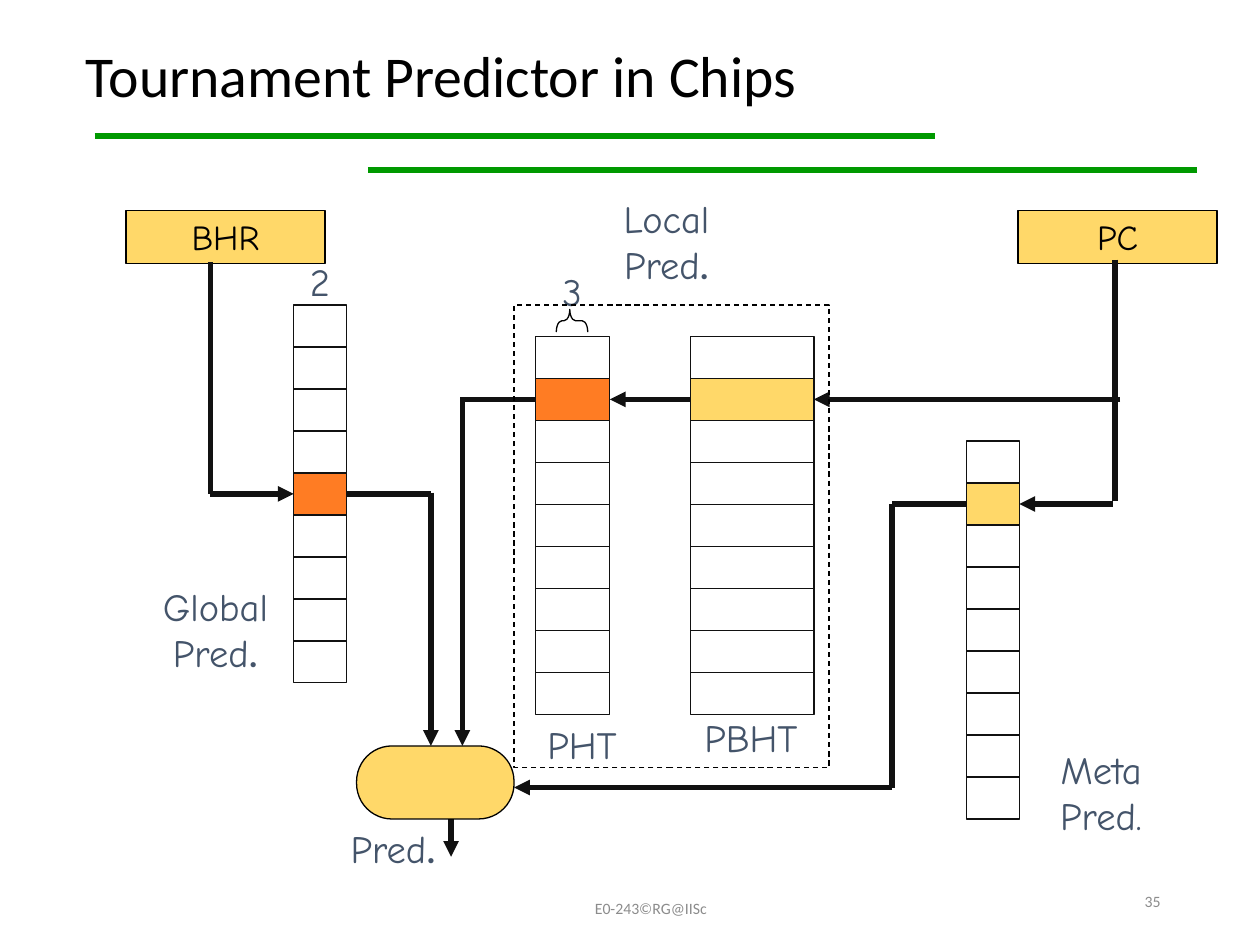
from dataclasses import dataclass
from typing import Optional

from lxml import etree
from pptx import Presentation
from pptx.dml.color import RGBColor
from pptx.enum.dml import MSO_LINE
from pptx.enum.shapes import MSO_CONNECTOR, MSO_SHAPE
from pptx.enum.text import MSO_ANCHOR, MSO_AUTO_SIZE, PP_ALIGN
from pptx.oxml.ns import qn
from pptx.util import Inches, Pt

STRAIGHT = MSO_CONNECTOR.STRAIGHT
RECTANGLE = MSO_SHAPE.RECTANGLE
ROUNDED = MSO_SHAPE.ROUNDED_RECTANGLE
BRACE = MSO_SHAPE.RIGHT_BRACE
DASH = MSO_LINE.DASH
LEFT, CENTER, RIGHT = PP_ALIGN.LEFT, PP_ALIGN.CENTER, PP_ALIGN.RIGHT
TOP, MIDDLE = MSO_ANCHOR.TOP, MSO_ANCHOR.MIDDLE
NO_FIT = MSO_AUTO_SIZE.NONE
LEFT_SIDE, RIGHT_SIDE = 1, 3


@dataclass(frozen=True)
class Theme:
    black: str = "000000"
    wire: str = "111111"
    rule: str = "009900"
    yellow: str = "FFD869"
    orange: str = "FF7C23"
    label: str = "44546A"
    footer: str = "8C8C8C"
    plain_font: str = "Calibri"
    sketch_font: str = "Comic Neue"
    title_size: float = 33
    label_size: float = 22
    register_size: float = 20
    footer_size: float = 9
    thin: float = 0.75
    thick: float = 3


@dataclass(frozen=True)
class Box:
    left: float
    top: float
    width: float
    height: float

    def lengths(self) -> tuple:
        return tuple(Inches(v) for v in (self.left, self.top, self.width, self.height))


@dataclass(frozen=True)
class Table:
    name: str
    left: float
    top: float
    width: float
    active_row: int
    active_fill: str


@dataclass(frozen=True)
class Wire:
    start: tuple
    end: tuple
    arrow: bool = False
    source: Optional[str] = None
    source_side: int = LEFT_SIDE
    target: Optional[str] = None
    target_side: int = RIGHT_SIDE


@dataclass(frozen=True)
class Label:
    text: str
    box: Box
    bold_stop: bool = False
    align: int = CENTER


THEME = Theme()
ROWS = 9
ROW_HEIGHT = 1 / 3

RULES = [
    Wire((0.75, 1.08), (7.33, 1.08)),
    Wire((2.92, 1.35), (9.5, 1.35)),
    Wire((0.83, 1.08), (7.42, 1.08)),
]
REGISTERS = [("BHR", 1), ("PC", 8.08)]
TABLES = [
    Table("global", 2.33, 2.42, 0.42, 4, THEME.orange),
    Table("meta", 7.67, 3.5, 0.42, 1, THEME.yellow),
    Table("pbht", 5.48, 2.67, 0.98, 1, THEME.yellow),
    Table("pht", 4.25, 2.67, 0.59, 1, THEME.orange),
]
WIRES = [
    Wire((1.67, 2.08), (1.67, 3.92)),
    Wire((1.67, 3.92), (2.33, 3.92), True, target="global", target_side=LEFT_SIDE),
    Wire((2.75, 3.92), (3.42, 3.92), source="global", source_side=RIGHT_SIDE),
    Wire((3.42, 3.91), (3.42, 5.92), True),
    Wire((8.85, 2.06), (8.85, 3.98)),
    Wire((8.89, 3.17), (6.46, 3.17), True, target="pbht"),
    Wire((5.48, 3.17), (4.84, 3.17), True, source="pbht", target="pht"),
    Wire((4.25, 3.17), (3.65, 3.17), source="pht"),
    Wire((3.67, 3.16), (3.67, 5.92), True),
    Wire((8.83, 4), (8.09, 4), True, target="meta"),
    Wire((7.67, 4), (7.08, 4), source="meta"),
    Wire((7.08, 4), (7.08, 6.25)),
    Wire((7.08, 6.25), (4.08, 6.25), True),
    Wire((3.58, 6.47), (3.58, 6.8), True),
]
LABELS = [
    Label("Pred", Box(2.58, 6.5, 1.08, 0.47), True),
    Label("2", Box(2.25, 2, 0.58, 0.47)),
    Label("Global Pred", Box(1.17, 4.58, 1.08, 0.83), True),
    Label("Meta Pred.", Box(8.08, 5.87, 1.08, 0.83), align=RIGHT),
    Label("3", Box(4.25, 2.08, 0.58, 0.47)),
    Label("Local Pred", Box(4.75, 1.5, 1.08, 0.83), True),
    Label("PBHT", Box(5.42, 5.62, 1.08, 0.47)),
    Label("PHT", Box(4.08, 5.67, 1.08, 0.47)),
]


def color(value: str) -> RGBColor:
    return RGBColor.from_string(value)


def add_run(paragraph, text: str, font: str, size: float, ink: str, bold: bool = False):
    run = paragraph.add_run()
    run.text = text
    run.font.name = font
    run.font.size = Pt(size)
    run.font.bold = bold
    run.font.color.rgb = color(ink)


def add_wire(slide, wire: Wire, ink: str, width: float, cells: dict):
    ends = [Inches(v) for v in (*wire.start, *wire.end)]
    connector = slide.shapes.add_connector(STRAIGHT, *ends)
    connector.line.color.rgb = color(ink)
    connector.line.width = Pt(width)
    if wire.arrow:
        line = connector.line._get_or_add_ln()
        etree.SubElement(line, qn("a:tailEnd"), type="triangle")
    etree.SubElement(connector._element.spPr, qn("a:effectLst"))
    if wire.source:
        connector.begin_connect(cells[wire.source], wire.source_side)
    if wire.target:
        connector.end_connect(cells[wire.target], wire.target_side)


def add_outline(slide, kind: int, box: Box, fill: Optional[str], ink: str):
    shape = slide.shapes.add_shape(kind, *box.lengths())
    shape.shadow.inherit = False
    if fill:
        shape.fill.solid()
        shape.fill.fore_color.rgb = color(fill)
    else:
        shape.fill.background()
    shape.line.color.rgb = color(ink)
    shape.line.width = Pt(THEME.thin)
    return shape


def add_predictor_table(slide, table: Table):
    frame = Box(table.left, table.top, table.width, ROWS * ROW_HEIGHT)
    add_outline(slide, RECTANGLE, frame, None, THEME.wire)
    for row in range(1, ROWS):
        y = table.top + row * ROW_HEIGHT
        divider = Wire((table.left, y), (table.left + table.width, y))
        add_wire(slide, divider, THEME.wire, THEME.thin, {})
    active_top = table.top + table.active_row * ROW_HEIGHT
    active = Box(table.left, active_top, table.width, ROW_HEIGHT)
    return add_outline(slide, RECTANGLE, active, table.active_fill, THEME.wire)


def add_text_area(slide, box: Box, align: int, anchor: int):
    frame = slide.shapes.add_textbox(*box.lengths()).text_frame
    frame.word_wrap = True
    frame.vertical_anchor = anchor
    frame.paragraphs[0].alignment = align
    return frame.paragraphs[0]


def add_register(slide, name: str, left: float):
    register = add_outline(slide, RECTANGLE, Box(left, 1.67, 1.58, 0.42), THEME.yellow, THEME.black)
    register.text_frame.word_wrap = False
    register.text_frame.vertical_anchor = MIDDLE
    paragraph = register.text_frame.paragraphs[0]
    paragraph.alignment = CENTER
    add_run(paragraph, name, THEME.sketch_font, THEME.register_size, THEME.black)


def add_title(slide, text: str):
    title = slide.shapes.title
    title.left, title.top, title.width, title.height = Box(0.58, 0.25, 9, 0.75).lengths()
    title.text_frame.auto_size = NO_FIT
    title.text_frame.vertical_anchor = MIDDLE
    paragraph = title.text_frame.paragraphs[0]
    paragraph.alignment = LEFT
    paragraph.line_spacing = 0.9
    add_run(paragraph, text, THEME.plain_font, THEME.title_size, THEME.black)


def main():
    deck = Presentation()
    deck.slide_width, deck.slide_height = Inches(10), Inches(7.5)
    slide = deck.slides.add_slide(deck.slide_layouts[5])

    for rule in RULES:
        add_wire(slide, rule, THEME.rule, THEME.thick, {})
    add_title(slide, "Tournament Predictor in Chips")
    for text, box, align in [
        ("E0-243©RG@IISc", Box(3.58, 7.08, 3.17, 0.25), CENTER),
        ("35", Box(7.06, 6.95, 2.25, 0.4), RIGHT),
    ]:
        paragraph = add_text_area(slide, box, align, MIDDLE)
        add_run(paragraph, text, THEME.plain_font, THEME.footer_size, THEME.footer)

    for name, left in REGISTERS:
        add_register(slide, name, left)
    cells = {table.name: add_predictor_table(slide, table) for table in TABLES}
    for wire in WIRES:
        add_wire(slide, wire, THEME.wire, THEME.thick, cells)
    chooser = add_outline(slide, ROUNDED, Box(2.83, 5.92, 1.25, 0.58), THEME.yellow, THEME.black)
    chooser.adjustments[0] = 0.485
    brace = add_outline(slide, BRACE, Box(4.45, 2.42, 0.18, 0.25), None, THEME.black)
    brace.adjustments[0], brace.adjustments[1] = 0.25, 0.43
    brace.rotation = 270

    for label in LABELS:
        paragraph = add_text_area(slide, label.box, label.align, TOP)
        add_run(paragraph, label.text, THEME.sketch_font, THEME.label_size, THEME.label)
        if label.bold_stop:
            add_run(paragraph, ".", THEME.plain_font, THEME.register_size, THEME.label, True)
    local = add_outline(slide, RECTANGLE, Box(4.08, 2.42, 2.5, 3.67), None, THEME.black)
    local.line.dash_style = DASH

    deck.save("out.pptx")


if __name__ == "__main__":
    main()
